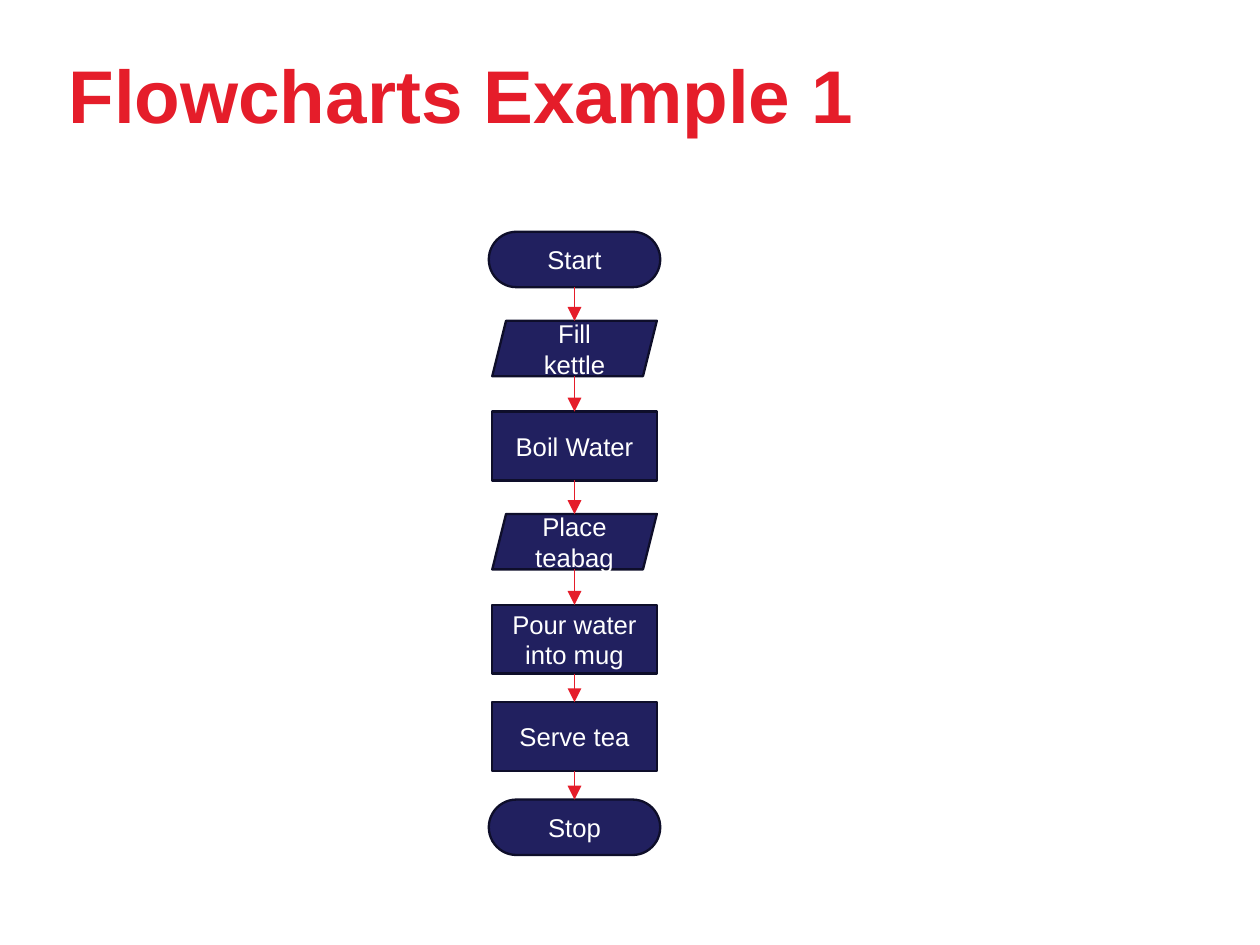
from dataclasses import dataclass

from lxml.etree import SubElement
from pptx import Presentation
from pptx.dml.color import RGBColor
from pptx.enum.shapes import MSO_CONNECTOR, MSO_SHAPE as SHAPE
from pptx.enum.text import MSO_ANCHOR, PP_ALIGN
from pptx.oxml.ns import qn
from pptx.util import Inches, Pt


@dataclass(frozen=True)
class Theme:
    font: str = "Arial"
    red: RGBColor = RGBColor(0xE5, 0x1D, 0x2A)
    navy: RGBColor = RGBColor(0x21, 0x20, 0x5F)
    outline: RGBColor = RGBColor(0x0E, 0x0E, 0x2A)
    white: RGBColor = RGBColor(0xFF, 0xFF, 0xFF)
    title_size: Pt = Pt(32)
    step_size: Pt = Pt(11)
    outline_width: Pt = Pt(1)
    arrow_width: Pt = Pt(0.5)


THEME = Theme()
SLIDE_WIDTH = 7.5
SLIDE_HEIGHT = SLIDE_WIDTH * 3 / 4

# Preset shape, width, height
TERMINAL = (SHAPE.FLOWCHART_TERMINATOR, 1.02, 0.33)
INPUT = (SHAPE.PARALLELOGRAM, 0.98, 0.33)
PROCESS = (SHAPE.RECTANGLE, 0.98, 0.41)

# Kind, label, top
STEPS = [
    (TERMINAL, "Start", 1.38),
    (INPUT, "Fill kettle", 1.91),
    (PROCESS, "Boil Water", 2.45),
    (INPUT, "Place teabag", 3.06),
    (PROCESS, "Pour water into mug", 3.6),
    (PROCESS, "Serve tea", 4.18),
    (TERMINAL, "Stop", 4.76),
]


def add_text(p, text, size, color, bold=False):
    r = p.add_run()
    r.text = text
    r.font.name = THEME.font
    r.font.size = size
    r.font.bold = bold
    r.font.color.rgb = color


def add_title(slide, text, left, top, width, height):
    box = slide.shapes.add_textbox(Inches(left), Inches(top), Inches(width), Inches(height))
    tf = box.text_frame
    tf.word_wrap = True
    p = tf.paragraphs[0]
    p.line_spacing = 0.9
    add_text(p, text, THEME.title_size, THEME.red, bold=True)


def add_step(slide, kind, label, center, top):
    preset, width, height = kind
    sp = slide.shapes.add_shape(
        preset, Inches(center - width / 2), Inches(top), Inches(width), Inches(height))
    sp.shadow.inherit = False
    sp.fill.solid()
    sp.fill.fore_color.rgb = THEME.navy
    sp.line.color.rgb = THEME.outline
    sp.line.width = THEME.outline_width
    tf = sp.text_frame
    tf.word_wrap = True
    tf.vertical_anchor = MSO_ANCHOR.MIDDLE
    p = tf.paragraphs[0]
    p.alignment = PP_ALIGN.CENTER
    add_text(p, label, THEME.step_size, THEME.white)
    return sp


def add_arrow(slide, upper, lower, center):
    """Point from one step down to the next; slanted steps number their sites differently."""
    x = Inches(center)
    arrow = slide.shapes.add_connector(
        MSO_CONNECTOR.STRAIGHT, x, upper.top + upper.height, x, lower.top)
    if upper.auto_shape_type != SHAPE.PARALLELOGRAM:
        arrow.begin_connect(upper, 2)
    if lower.auto_shape_type != SHAPE.PARALLELOGRAM:
        arrow.end_connect(lower, 0)
    arrow.line.color.rgb = THEME.red
    arrow.line.width = THEME.arrow_width
    SubElement(arrow.line._get_or_add_ln(), qn("a:tailEnd"), type="triangle")
    SubElement(arrow._element.spPr, qn("a:effectLst"))


def add_flowchart(slide, steps, center):
    shapes = [add_step(slide, kind, label, center, top) for kind, label, top in steps]
    for upper, lower in zip(shapes, shapes[1:]):
        add_arrow(slide, upper, lower, center)


def main():
    prs = Presentation()
    prs.slide_width, prs.slide_height = Inches(SLIDE_WIDTH), Inches(SLIDE_HEIGHT)
    slide = prs.slides.add_slide(prs.slide_layouts[6])
    add_title(slide, "Flowcharts Example 1", 0.31, 0.3, 6.17, 1.09)
    add_flowchart(slide, STEPS, center=3.42)
    prs.save("out.pptx")


if __name__ == "__main__":
    main()
